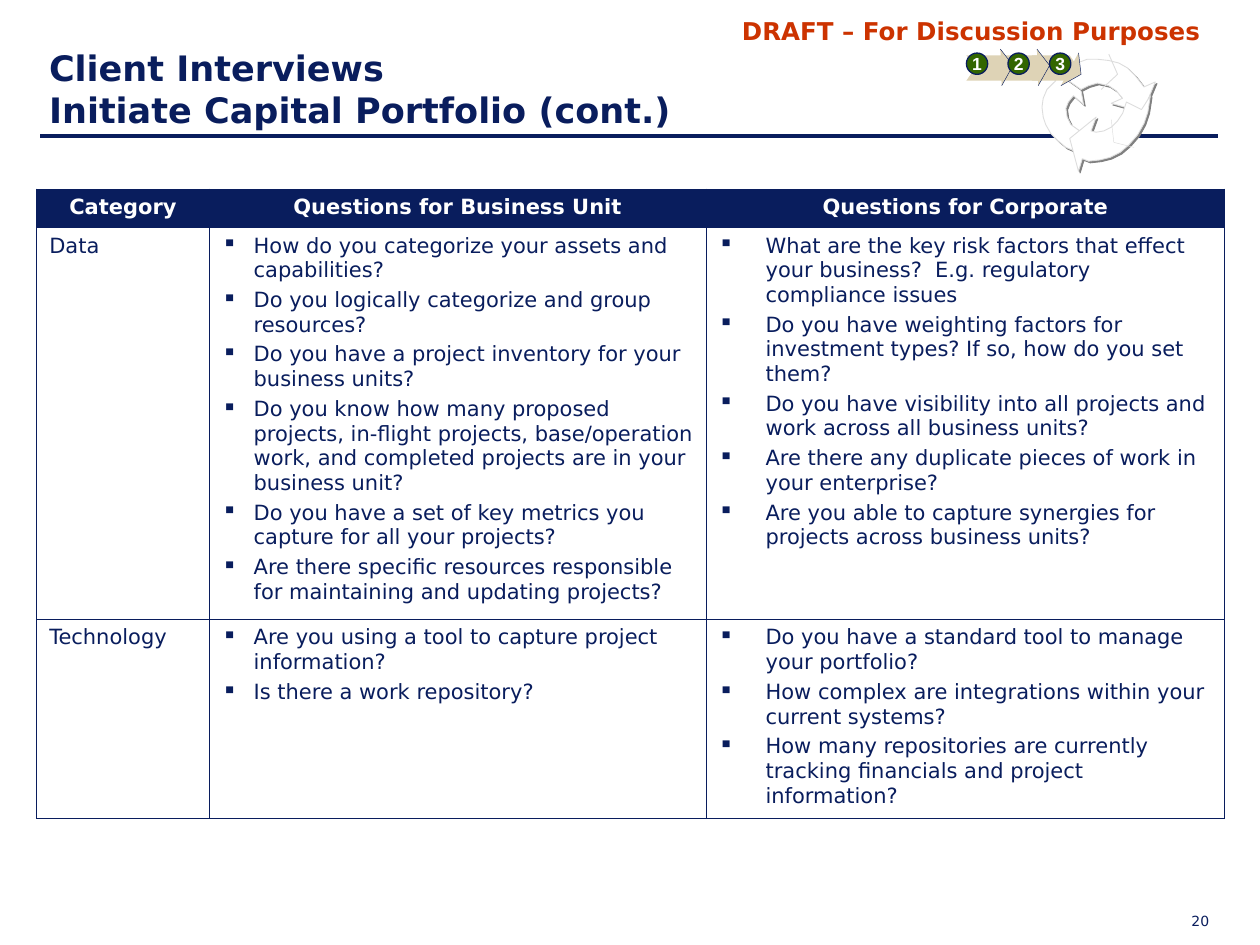
from lxml import etree
from pptx import Presentation
from pptx.dml.color import RGBColor
from pptx.enum.shapes import MSO_CONNECTOR, MSO_SHAPE
from pptx.enum.text import MSO_ANCHOR, PP_ALIGN
from pptx.oxml.ns import qn
from pptx.util import Cm, Pt

LEFT, CENTER, RIGHT = PP_ALIGN.LEFT, PP_ALIGN.CENTER, PP_ALIGN.RIGHT
MIDDLE, BOTTOM = MSO_ANCHOR.MIDDLE, MSO_ANCHOR.BOTTOM
STRAIGHT, OVAL = MSO_CONNECTOR.STRAIGHT, MSO_SHAPE.OVAL

NAVY, WHITE, RED = "091D5D", "FFFFFF", "CC3300"
SAND, GREEN, SILVER, GRAY = "DED3B6", "336600", "DDDDDD", "808080"
SANS = "DejaVu Sans"
GRID = Cm(25.4) / 1000

HEADERS = ["Category", "Questions for Business Unit", "Questions for Corporate"]
COLUMN_WIDTHS = [3.48, 10.01, 10.46]
ROW_HEIGHTS = [0.77, 7.9, 3.94]
QUESTION_INDENTS = [0.64, 0.95]
INTERVIEWS = [
    ("Data", [
        "How do you categorize your assets and capabilities?",
        "Do you logically categorize and group resources?",
        "Do you have a project inventory for your business units?",
        "Do you know how many proposed projects, in-flight projects, base/operation work, "
        "and completed projects are in your business unit?",
        "Do you have a set of key metrics you capture for all your projects?",
        "Are there specific resources responsible for maintaining and updating projects?",
    ], [
        "What are the key risk factors that effect your business?  E.g. regulatory compliance issues",
        "Do you have weighting factors for investment types? If so, how do you set them?",
        "Do you have visibility into all projects and work across all business units?",
        "Are there any duplicate pieces of work in your enterprise?",
        "Are you able to capture synergies for projects across business units?",
    ]),
    ("Technology", [
        "Are you using a tool to capture project information?",
        "Is there a work repository?",
    ], [
        "Do you have a standard tool to manage your portfolio?",
        "How complex are integrations within your current systems?",
        "How many repositories are currently tracking financials and project information?",
    ]),
]

LEFT_ARROW = [
    (853, 120), (846, 117), (840, 112), (834, 106), (830, 99), (828, 93), (827, 85),
    (828, 78), (831, 71), (838, 64), (831, 57), (856, 61), (860, 83), (852, 76),
    (848, 81), (846, 86), (847, 93), (850, 99), (857, 104)]
TOP_ARROW = [
    (880, 48), (888, 50), (895, 54), (901, 60), (908, 69), (917, 65), (907, 89),
    (882, 82), (891, 78), (886, 72), (880, 68), (871, 66), (864, 68), (858, 71),
    (841, 59), (848, 54), (855, 50), (863, 47), (871, 47)]
RIGHT_ARROW = [
    (864, 128), (873, 127), (881, 125), (889, 121), (896, 115), (903, 107), (908, 98),
    (911, 89), (913, 76), (906, 87), (894, 81), (891, 90), (887, 96), (882, 101),
    (876, 104), (870, 105), (866, 104), (870, 93), (849, 110), (856, 136), (859, 126)]
CHEVRON = [(30, 0), (0, 0), (7, 10), (0, 20), (30, 20), (37, 10)]
CHEVRON_LEFTS = [797, 767, 819]
STEP_HEADS = [
    [(794, 39), (804, 52), (795, 68)],
    [(823, 39), (833, 52), (824, 68)],
    [(856, 42), (858, 59), (842, 68)]]
CYCLE_FOLDS = [
    ([(880, 43), (887, 59), (874, 71)], 0.5),
    ([(900, 117), (884, 113), (882, 95)], 0.25)]


def rgb(color):
    return RGBColor.from_string(color)


def add_child(parent, tag, **attributes):
    return etree.SubElement(parent, qn(tag), attributes)


def style_font(para, size, color, bold=False, name=SANS):
    font = para.font
    font.name, font.size, font.bold = name, Pt(size), bold
    font.color.rgb = rgb(color)


def add_label(page, text, left, top, width, height, size, color,
              align=LEFT, bold=True, anchor=None):
    box = page.shapes.add_textbox(Cm(left), Cm(top), Cm(width), Cm(height))
    frame = box.text_frame
    frame.word_wrap = True
    frame.vertical_anchor = anchor
    para = frame.paragraphs[0]
    para.text = text
    para.alignment = align
    style_font(para, size, color, bold)
    return frame


def add_line(page, start, end, color, weight):
    (x1, y1), (x2, y2) = start, end
    line = page.shapes.add_connector(
        STRAIGHT, *(round(value * GRID) for value in (x1, y1, x2, y2)))
    line.line.color.rgb = rgb(color)
    line.line.width = Pt(weight)
    add_child(line._element.spPr, "a:effectLst")


def add_fold(page, points, color, weight):
    first, tip, last = points
    for end in (first, last):
        add_line(page, end, tip, color, weight)


def add_outline(page, points, color):
    builder = page.shapes.build_freeform(*points[0], scale=GRID)
    builder.add_line_segments(points[1:], close=True)
    outline = builder.convert_to_shape()
    outline.shadow.inherit = False
    outline.fill.solid()
    outline.fill.fore_color.rgb = rgb(color)
    outline.line.fill.background()
    return outline


def add_cycle_arrow(page, points):
    arrow = add_outline(page, points, WHITE)
    arrow.line.color.rgb = rgb(SILVER)
    arrow.line.width = Pt(0.5)
    effects = arrow._element.spPr.find(qn("a:effectLst"))
    shadow = add_child(effects, "a:outerShdw", dist=str(Pt(1.4)), dir="2700000")
    add_child(shadow, "a:srgbClr", val=GRAY)


def add_step_number(page, number):
    left = (767 + 33 * (number - 1)) * GRID
    circle = page.shapes.add_shape(OVAL, round(left), Cm(1.07), Cm(0.43), Cm(0.43))
    circle.shadow.inherit = False
    circle.fill.solid()
    circle.fill.fore_color.rgb = rgb(GREEN)
    circle.line.color.rgb = rgb(NAVY)
    circle.line.width = Pt(0.75)
    frame = circle.text_frame
    frame.word_wrap = False
    frame.vertical_anchor = MIDDLE
    frame.margin_left = frame.margin_right = frame.margin_top = frame.margin_bottom = 0
    para = frame.paragraphs[0]
    para.text = str(number)
    para.alignment = CENTER
    style_font(para, 10, WHITE, True, "Arial")


def add_cycle_icon(page):
    add_cycle_arrow(page, LEFT_ARROW)
    add_cycle_arrow(page, TOP_ARROW)
    for left in CHEVRON_LEFTS:
        add_outline(page, [(left + x, 44 + y) for x, y in CHEVRON], SAND)
    for points in STEP_HEADS:
        add_outline(page, points, SAND)
        add_fold(page, points, NAVY, 0.25)
    add_cycle_arrow(page, RIGHT_ARROW)
    for points, weight in CYCLE_FOLDS:
        add_fold(page, points, SILVER, weight)
    for number in (1, 2, 3):
        add_step_number(page, number)


def border_cell(cell):
    properties = cell._tc.get_or_add_tcPr()
    for index, side in enumerate(("a:lnL", "a:lnR", "a:lnT", "a:lnB")):
        edge = etree.Element(qn(side), w=str(Pt(0.45)))
        add_child(add_child(edge, "a:solidFill"), "a:srgbClr", val=NAVY)
        properties.insert(index, edge)


def add_bullet(para, indent):
    properties = para._p.get_or_add_pPr()
    properties.set("marL", str(Cm(indent)))
    properties.set("indent", str(-Cm(indent)))
    add_child(add_child(properties, "a:buClr"), "a:srgbClr", val=NAVY)
    add_child(properties, "a:buChar", char="▪")


def fill_cell(cell, lines, indent=None, header=False):
    if header:
        cell.fill.solid()
        cell.fill.fore_color.rgb = rgb(NAVY)
    else:
        cell.fill.background()
    border_cell(cell)
    cell.text = "\n".join(lines)
    for para in cell.text_frame.paragraphs:
        if indent:
            add_bullet(para, indent)
        para.alignment = CENTER if header else LEFT
        para.space_after = Pt(0 if header else 3)
        style_font(para, 12, WHITE if header else NAVY, header)


def add_interview_table(page):
    table = page.shapes.add_table(
        len(ROW_HEIGHTS), len(COLUMN_WIDTHS), Cm(0.74), Cm(3.81),
        Cm(sum(COLUMN_WIDTHS)), Cm(sum(ROW_HEIGHTS))).table
    table.first_row = table.horz_banding = False
    for column, width in zip(table.columns, COLUMN_WIDTHS):
        column.width = Cm(width)
    for row, height in zip(table.rows, ROW_HEIGHTS):
        row.height = Cm(height)
    for column, title in enumerate(HEADERS):
        fill_cell(table.cell(0, column), [title], header=True)
    for row, (category, *questions) in enumerate(INTERVIEWS, 1):
        fill_cell(table.cell(row, 0), [category])
        for column, (lines, indent) in enumerate(zip(questions, QUESTION_INDENTS), 1):
            fill_cell(table.cell(row, column), lines, indent)


def main():
    deck = Presentation()
    deck.slide_width, deck.slide_height = Cm(25.4), Cm(19.05)
    page = deck.slides.add_slide(deck.slide_layouts[6])
    number = add_label(page, "20", 21.84, 18.39, 2.54, 0.38, 8, NAVY, RIGHT, bold=False)
    number.margin_left = number.margin_right = number.margin_top = number.margin_bottom = 0
    add_line(page, (32, 108), (967, 108), NAVY, 2)
    add_label(page, "DRAFT – For Discussion Purposes", 14.4, 0.2, 10.36, 0.86, 14, RED, CENTER)
    add_label(page, "Client Interviews\vInitiate Capital Portfolio (cont.)",
              0.74, 0.64, 23.95, 2.11, 20, NAVY, anchor=BOTTOM)
    add_interview_table(page)
    add_cycle_icon(page)
    deck.save("out.pptx")


if __name__ == "__main__":
    main()
